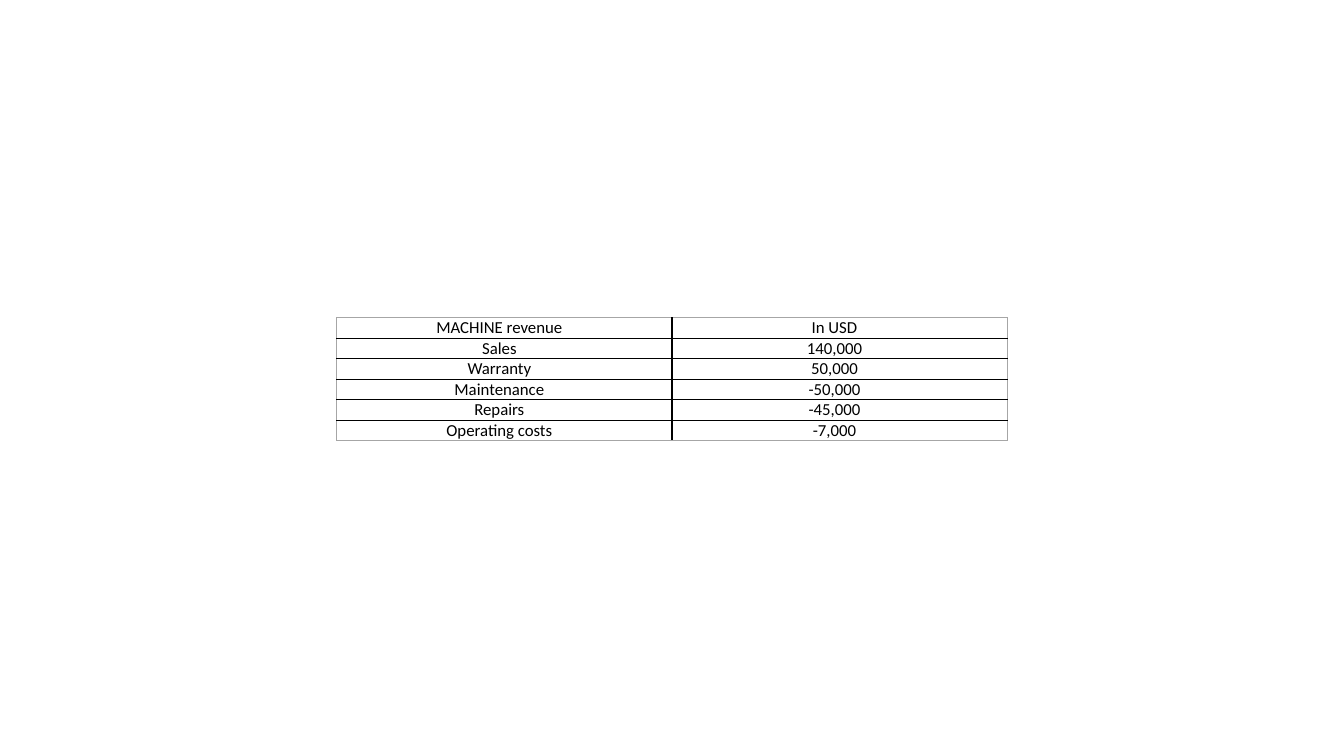
from dataclasses import dataclass

from lxml import etree
from pptx import Presentation
from pptx.dml.color import RGBColor
from pptx.enum.text import MSO_ANCHOR, PP_ALIGN
from pptx.oxml.ns import qn
from pptx.util import Pt

CENTER = PP_ALIGN.CENTER
MIDDLE = MSO_ANCHOR.MIDDLE


@dataclass(frozen=True)
class Theme:
    """Colours and type of the slide."""
    font: str = "Calibri"
    size: int = 12
    text: str = "000000"
    inner_line: str = "000000"
    outer_line: str = "A6A6A6"
    line_width: int = 1


THEME = Theme()
REVENUE_ROWS = [
    ("MACHINE revenue", "In USD"),
    ("Sales", "140,000"),
    ("Warranty", "50,000"),
    ("Maintenance", "-50,000"),
    ("Repairs", "-45,000"),
    ("Operating costs", "-7,000"),
]


def set_borders(cell, colours):
    """Draw the left, right, top and bottom borders of a cell."""
    properties = cell._tc.get_or_add_tcPr()
    for index, (side, colour) in enumerate(zip("LRTB", colours)):
        line = etree.Element(qn(f"a:ln{side}"), w=str(Pt(THEME.line_width)))
        fill = etree.SubElement(line, qn("a:solidFill"))
        etree.SubElement(fill, qn("a:srgbClr"), val=colour)
        properties.insert(index, line)


def fill_cell(cell, text):
    """Write centred text in a cell without a fill."""
    cell.fill.background()
    cell.vertical_anchor = MIDDLE
    cell.margin_left = cell.margin_top = cell.margin_bottom = 0
    cell.margin_right = Pt(7.2)
    cell.text = text
    paragraph = cell.text_frame.paragraphs[0]
    paragraph.alignment = CENTER
    paragraph.font.name = THEME.font
    paragraph.font.size = Pt(THEME.size)
    paragraph.font.bold = False
    paragraph.font.color.rgb = RGBColor.from_string(THEME.text)


def add_revenue_table(slide, left, top, width, height):
    """Place the revenue table in the given box."""
    row_count, column_count = len(REVENUE_ROWS), len(REVENUE_ROWS[0])
    table = slide.shapes.add_table(
        row_count, column_count, Pt(left), Pt(top), Pt(width), Pt(height)
    ).table
    table.first_row = table.horz_banding = False
    for column in table.columns:
        column.width = Pt(width / column_count)
    for row in table.rows:
        row.height = Pt(height / row_count)
    for row_index, values in enumerate(REVENUE_ROWS):
        for column_index, text in enumerate(values):
            cell = table.cell(row_index, column_index)
            fill_cell(cell, text)
            on_edge = (
                column_index == 0,
                column_index == column_count - 1,
                row_index == 0,
                row_index == row_count - 1,
            )
            set_borders(cell, [THEME.outer_line if edge else THEME.inner_line
                               for edge in on_edge])


def main():
    """Build and save the slide."""
    presentation = Presentation()
    presentation.slide_width, presentation.slide_height = Pt(960), Pt(540)
    slide = presentation.slides.add_slide(presentation.slide_layouts[6])
    add_revenue_table(slide, left=240.6, top=226.9, width=478.8, height=84)
    presentation.save("out.pptx")


if __name__ == "__main__":
    main()
